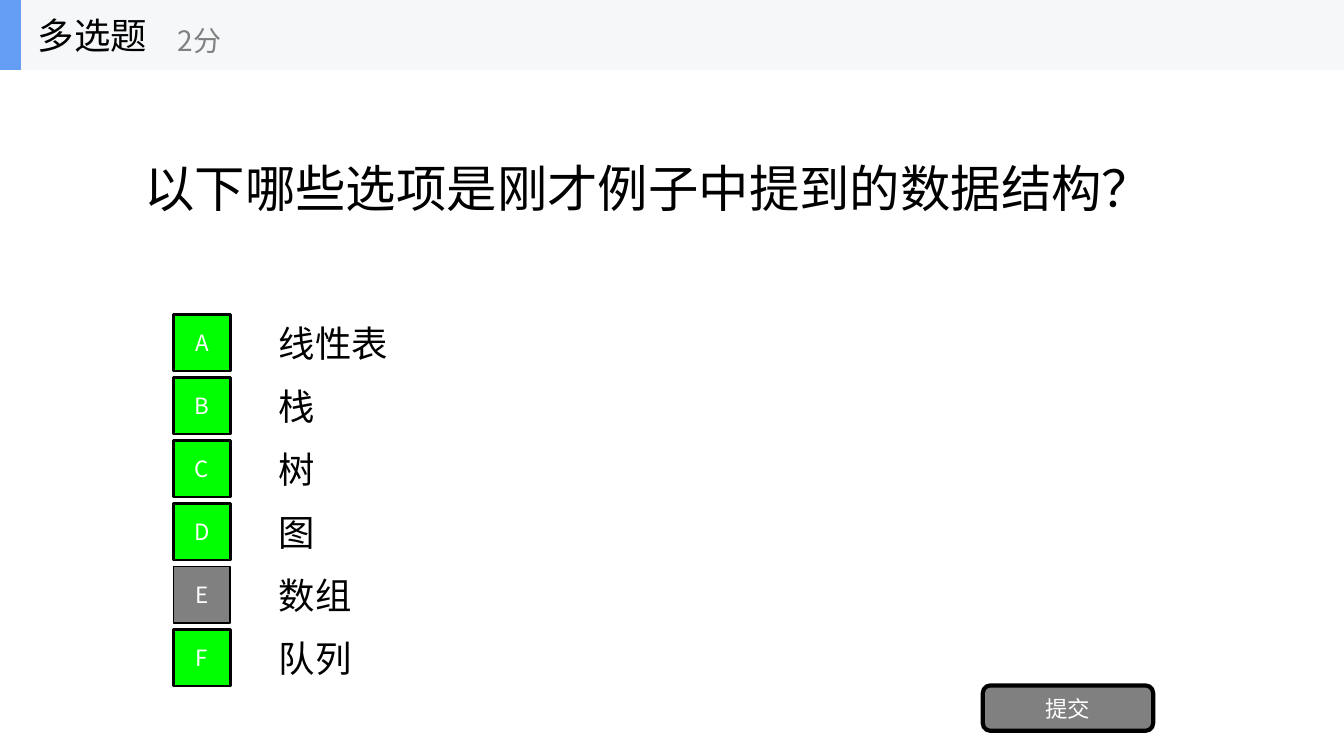
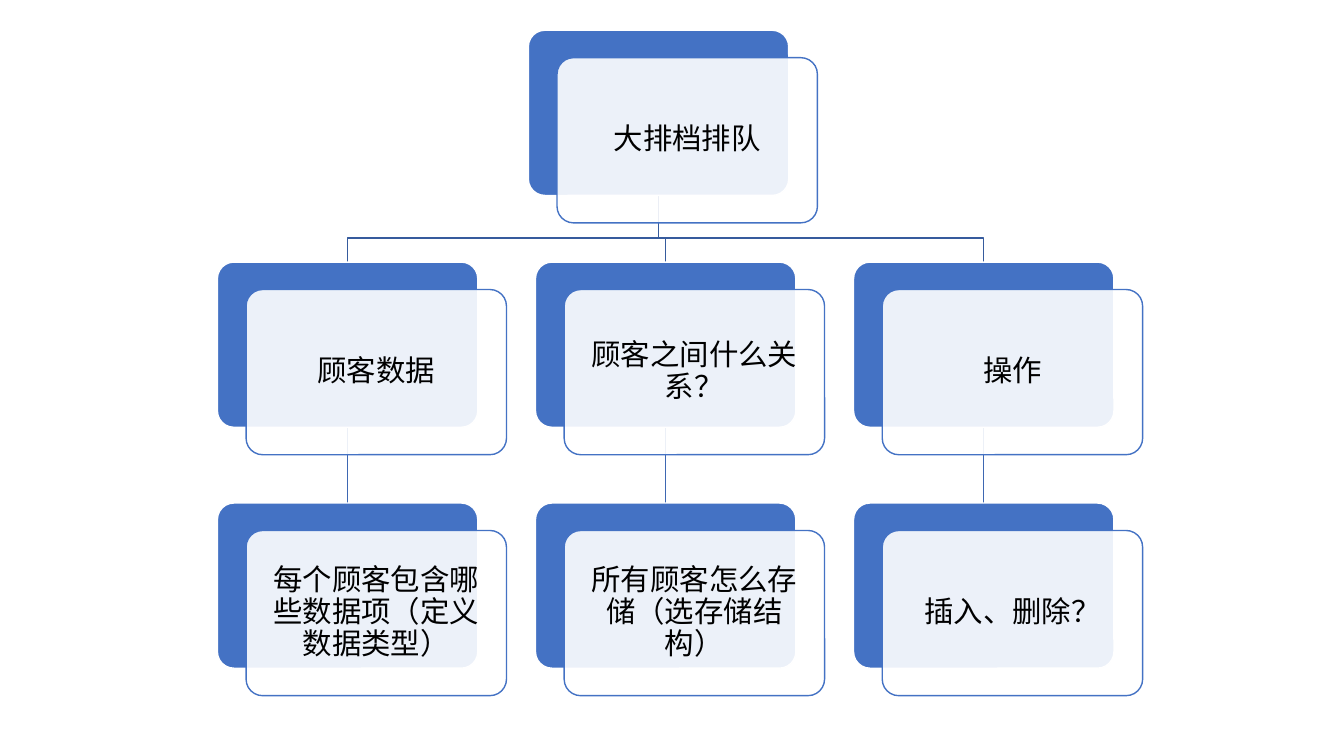
from dataclasses import dataclass

from lxml.etree import SubElement
from pptx import Presentation
from pptx.dml.color import RGBColor
from pptx.enum.shapes import MSO_CONNECTOR, MSO_SHAPE
from pptx.enum.text import MSO_ANCHOR, PP_ALIGN
from pptx.oxml.ns import qn
from pptx.util import Pt


@dataclass(frozen=True)
class Theme:
    """Colours, font and type sizes of the presentation."""
    font: str = "Noto Sans CJK SC"
    black: str = "000000"
    white: str = "FFFFFF"
    gray: str = "808080"
    correct: str = "00FF00"
    band: str = "F6F7F8"
    band_accent: str = "639EF4"
    card: str = "4472C4"
    root_link: str = "365B9D"
    child_link: str = "3E67B2"
    question_size: float = 36
    option_size: float = 26
    points_size: float = 20
    button_size: float = 16
    card_size: float = 21


THEME = Theme()
SLIDE_WIDTH, SLIDE_HEIGHT = 960, 540
BAND_HEIGHT = 50

OPTIONS = [("线性表", True), ("栈", True), ("树", True),
           ("图", True), ("数组", False), ("队列", True)]
OPTION_TOP, OPTION_STEP, OPTION_HEIGHT = 219.6, 45, 50.4
BOX_LEFT, BOX_SIZE = 124, 40.4

ROOT = "大排档排队"
BRANCHES = [("顾客数据", "每个顾客包含哪些数据项（定义数据类型）"),
            ("顾客之间什么关系？", "所有顾客怎么存储（选存储结构）"),
            ("操作", "插入、删除？")]
CARD_WIDTH, CARD_HEIGHT = 186, 118
CARD_OFFSET_X, CARD_OFFSET_Y = 20.5, 19.6
CARD_INSET = 6.5
ROOT_LEFT, ROOT_TOP = 377.4, 21.6
BRANCH_LEFT, BRANCH_STEP = 155.3, 227.2
BRANCH_TOP, LEAF_TOP = 187.2, 359.3
LINK_BEND = 170


def color(value):
    """Turn a hex string into a colour."""
    return RGBColor.from_string(value)


def set_text(shape, text, size, text_color, align=PP_ALIGN.LEFT, wrap=True):
    """Write one styled, vertically centred paragraph and return it."""
    frame = shape.text_frame
    frame.text = text
    frame.word_wrap = wrap
    frame.vertical_anchor = MSO_ANCHOR.MIDDLE
    paragraph = frame.paragraphs[0]
    paragraph.alignment = align
    for run in paragraph.runs:
        run.font.size = Pt(size)
        run.font.name = THEME.font
        run.font.color.rgb = color(text_color)
        east_asian = SubElement(run.font._element, qn("a:ea"))
        east_asian.set("typeface", THEME.font)
    return paragraph


def add_label(slide, box, text, size, text_color=THEME.black, wrap=True):
    """Add a text box."""
    label = slide.shapes.add_textbox(*map(Pt, box))
    set_text(label, text, size, text_color, wrap=wrap)


def add_box(slide, kind, box, fill, line=None, line_width=1):
    """Add a filled preset shape with an optional outline."""
    shape = slide.shapes.add_shape(kind, *map(Pt, box))
    shape.shadow.inherit = False
    shape.fill.solid()
    shape.fill.fore_color.rgb = color(fill)
    if line:
        shape.line.color.rgb = color(line)
        shape.line.width = Pt(line_width)
    else:
        shape.line.fill.background()
    return shape


def add_button(slide, kind, box, text, fill, line_width):
    """Add an outlined button with centred white text."""
    button = add_box(slide, kind, box, fill, THEME.black, line_width)
    set_text(button, text, THEME.button_size, THEME.white, PP_ALIGN.CENTER)


def add_header(slide, kind, points):
    """Add the band with the question kind and its points."""
    for width, fill in ((SLIDE_WIDTH, THEME.band), (15, THEME.band_accent)):
        add_box(slide, MSO_SHAPE.RECTANGLE, (0, 0, width, BAND_HEIGHT), fill)
    add_label(slide, (20, 0, 150, BAND_HEIGHT), kind, THEME.option_size, wrap=False)
    add_label(slide, (120, 9, 180, 40), points, THEME.points_size, THEME.gray, wrap=False)


def add_option(slide, index, text, is_correct):
    """Add one lettered answer."""
    top = OPTION_TOP + index * OPTION_STEP
    add_label(slide, (192, top, 672, OPTION_HEIGHT), text, THEME.option_size)
    box_top = top + (OPTION_HEIGHT - BOX_SIZE) / 2
    add_button(slide, MSO_SHAPE.RECTANGLE, (BOX_LEFT, box_top, BOX_SIZE, BOX_SIZE),
               "ABCDEF"[index], THEME.correct if is_correct else THEME.gray,
               2 if is_correct else 1)


def add_card(slide, left, top, text):
    """Add a blue card under a translucent text card and return the blue one."""
    corners = ((left, top, THEME.card, THEME.white),
               (left + CARD_OFFSET_X, top + CARD_OFFSET_Y, THEME.white, THEME.card))
    back, front = (
        add_box(slide, MSO_SHAPE.ROUNDED_RECTANGLE, (x, y, CARD_WIDTH, CARD_HEIGHT), fill, line)
        for x, y, fill, line in corners)
    for shape in (back, front):
        shape.adjustments[0] = 0.1
    fill_color = front.fill._xPr.find(qn("a:solidFill"))[0]
    SubElement(fill_color, qn("a:alpha")).set("val", "90000")
    paragraph = set_text(front, text, THEME.card_size, THEME.black, PP_ALIGN.CENTER)
    paragraph.line_spacing = 0.9
    frame = front.text_frame
    frame.margin_left = frame.margin_right = Pt(CARD_INSET)
    frame.margin_top = frame.margin_bottom = Pt(CARD_INSET)
    return back


def finish_link(slide, link, line):
    """Style a link and send it behind the cards."""
    link.line.color.rgb = color(line)
    link.line.width = Pt(1)
    slide.shapes._spTree.insert(2, link._element)


def add_root_link(slide, root, branch):
    """Add a bent line from the root card to a branch card."""
    start_x = root.left + root.width // 2
    end_x = branch.left + branch.width // 2
    builder = slide.shapes.build_freeform(start_x, root.top + root.height)
    builder.add_line_segments(
        [(start_x, Pt(LINK_BEND)), (end_x, Pt(LINK_BEND)), (end_x, branch.top)], close=False)
    link = builder.convert_to_shape()
    link.shadow.inherit = False
    link.fill.background()
    finish_link(slide, link, THEME.root_link)


def add_leaf_link(slide, branch, leaf):
    """Add a straight connector from a branch card to its leaf card."""
    link = slide.shapes.add_connector(MSO_CONNECTOR.STRAIGHT, 0, 0, 0, 0)
    link.begin_connect(branch, 2)
    link.end_connect(leaf, 0)
    finish_link(slide, link, THEME.child_link)
    SubElement(link._element.spPr, qn("a:effectLst"))


def build_question(slide):
    """Build the multiple-choice slide."""
    add_label(slide, (96, 50, 768, 168), "以下哪些选项是刚才例子中提到的数据结构？",
              THEME.question_size)
    for index, (text, is_correct) in enumerate(OPTIONS):
        add_option(slide, index, text, is_correct)
    add_button(slide, MSO_SHAPE.ROUNDED_RECTANGLE, (702, 489.6, 121.7, 32.4),
               "提交", THEME.gray, 3)
    add_header(slide, "多选题", "2分")


def build_hierarchy(slide):
    """Build the hierarchy slide."""
    root = add_card(slide, ROOT_LEFT, ROOT_TOP, ROOT)
    for index, (branch_text, leaf_text) in enumerate(BRANCHES):
        left = BRANCH_LEFT + index * BRANCH_STEP
        branch = add_card(slide, left, BRANCH_TOP, branch_text)
        leaf = add_card(slide, left, LEAF_TOP, leaf_text)
        add_root_link(slide, root, branch)
        add_leaf_link(slide, branch, leaf)


def main():
    """Build and save the presentation."""
    presentation = Presentation()
    presentation.slide_width = Pt(SLIDE_WIDTH)
    presentation.slide_height = Pt(SLIDE_HEIGHT)
    for build in (build_question, build_hierarchy):
        build(presentation.slides.add_slide(presentation.slide_layouts[6]))
    presentation.save("out.pptx")


if __name__ == "__main__":
    main()
